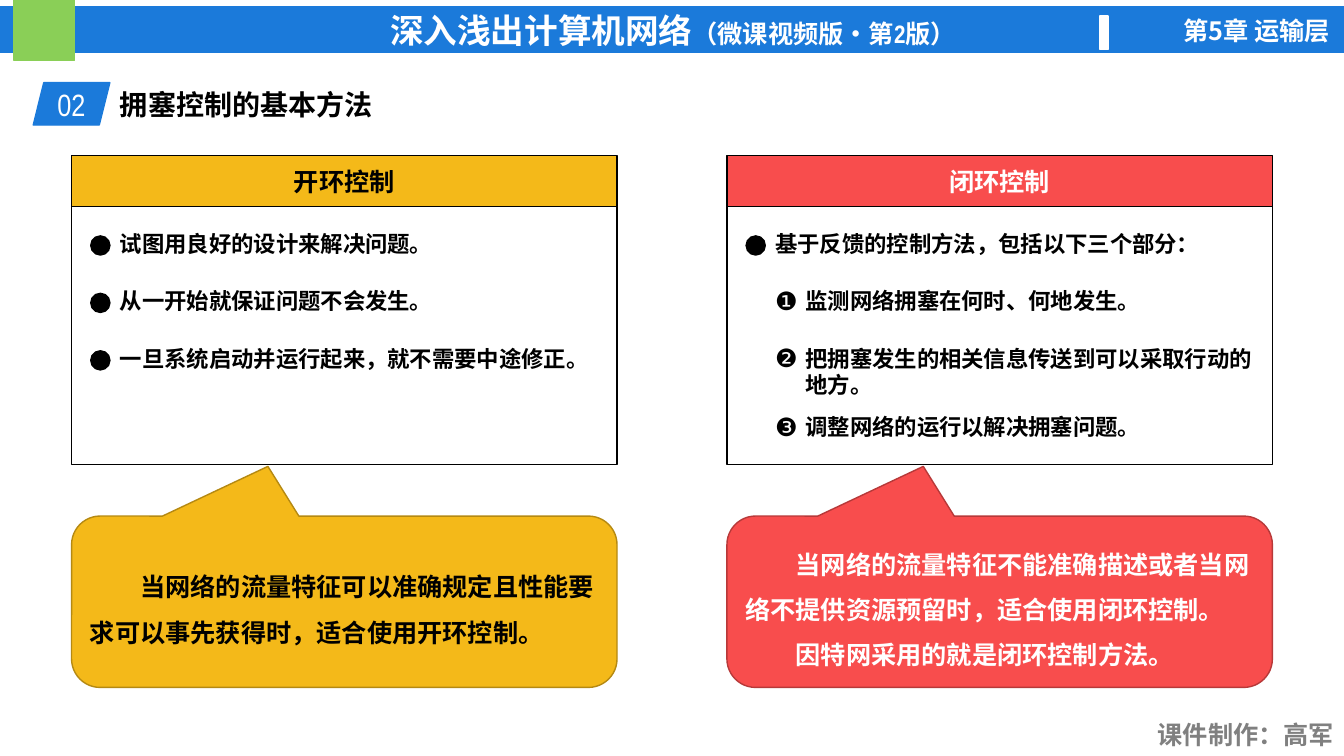
from lxml.etree import SubElement
from pptx import Presentation
from pptx.dml.color import RGBColor
from pptx.enum.shapes import MSO_SHAPE
from pptx.enum.text import MSO_ANCHOR, MSO_AUTO_SIZE, PP_ALIGN
from pptx.oxml.ns import qn
from pptx.util import Pt

PX = 9144
BLUE, GREEN, YELLOW, RED = "1B7ADA", "8ACF57", "F4B919", "F84D4D"
BLACK, WHITE, GRAY = "000000", "FFFFFF", "808080"


def color(hex_text):
    return RGBColor.from_string(hex_text)


class SlideBuilder:
    latin = "Arial Narrow"
    east_asian = "Noto Sans CJK SC"

    def __init__(self, slide):
        self.slide = slide

    def box(self, *lengths):
        return [n * PX for n in lengths]

    def style_run(self, r, size, ink, bold=True, latin=None):
        r.font.size = Pt(size)
        r.font.bold = bold
        r.font.color.rgb = color(ink)
        r.font.name = latin or self.latin
        SubElement(r._r.get_or_add_rPr(), qn("a:ea"), typeface=self.east_asian)

    def set_text(self, sp, text, size, ink, align=PP_ALIGN.LEFT, **style):
        tf = sp.text_frame
        tf.word_wrap = True
        tf.text = text
        for p in tf.paragraphs:
            p.alignment = align
            for r in p.runs:
                self.style_run(r, size, ink, **style)

    def shape(self, kind, at, fill=None, line=None):
        sp = self.slide.shapes.add_shape(kind, *self.box(*at))
        sp.shadow.inherit = False
        if fill:
            sp.fill.solid()
            sp.fill.fore_color.rgb = color(fill)
        else:
            sp.fill.background()
        sp.line.color.rgb = color(line or fill)
        sp.line.width = Pt(1)
        sp.text_frame.vertical_anchor = MSO_ANCHOR.MIDDLE
        return sp

    def label(self, kind, at, text, size, ink, fill, line=None, **style):
        sp = self.shape(kind, at, fill, line)
        self.set_text(sp, text, size, ink, PP_ALIGN.CENTER, **style)
        return sp

    def text(self, at, text, size, ink=BLACK, **style):
        sp = self.slide.shapes.add_textbox(*self.box(*at))
        self.set_text(sp, text, size, ink, **style)

    def title(self, at, text, size):
        sp = self.slide.shapes.title
        sp.left, sp.top, sp.width, sp.height = self.box(*at)
        self.set_text(sp, text, size, BLACK)
        sp.text_frame.auto_size = MSO_AUTO_SIZE.NONE
        sp.text_frame.vertical_anchor = MSO_ANCHOR.TOP

    def dot_item(self, x, y, width, text):
        self.shape(MSO_SHAPE.OVAL, (x + 19, y + 11, 19, 19), BLACK)
        self.text((x + 38, y, width, 37), text, 16)

    def numbered_item(self, x, y, number, height, text):
        self.text((x + 68, y, 473, height), text, 16)
        self.text((x + 38, y - 2, 42, 40), number, 18, bold=False)

    def panel(self, x, heading, fill, ink):
        self.label(MSO_SHAPE.RECTANGLE, (x, 154, 541, 51), heading, 18, ink, fill, BLACK)
        self.shape(MSO_SHAPE.RECTANGLE, (x, 205, 541, 256), line=BLACK)

    def callout(self, x, text, fill, line, ink, tip):
        sp = self.shape(MSO_SHAPE.ROUNDED_RECTANGULAR_CALLOUT, (x, 512, 541, 170), fill, line)
        sp.adjustments[0], sp.adjustments[1] = tip
        self.set_text(sp, text, 18, ink)
        for p in sp.text_frame.paragraphs:
            p.line_spacing = 1.5
            pPr = p._p.get_or_add_pPr()
            pPr.set("marL", "0")
            pPr.set("indent", str(50 * PX))

    def header(self):
        bar = self.label(MSO_SHAPE.RECTANGLE, (0, 7, 1335, 45), "深入浅出计算机网络", 24, WHITE, BLUE)
        r = bar.text_frame.paragraphs[0].add_run()
        r.text = "（微课视频版•第2版）"
        self.style_run(r, 18, WHITE)
        self.shape(MSO_SHAPE.RECTANGLE, (14, 0, 60, 60), GREEN)
        self.shape(MSO_SHAPE.RECTANGLE, (1091, 16, 8, 33), WHITE)
        self.text((1111, 10, 218, 40), "第5章 运输层", 18, WHITE,
                  align=PP_ALIGN.RIGHT, latin=self.east_asian)
        self.text((1134, 709, 199, 40), "课件制作：高军", 18, GRAY, align=PP_ALIGN.RIGHT)


def main():
    prs = Presentation()
    prs.slide_width, prs.slide_height = 1333 * PX, 750 * PX
    s = SlideBuilder(prs.slides.add_slide(prs.slide_layouts[5]))

    s.header()
    s.label(MSO_SHAPE.PARALLELOGRAM, (33, 82, 76, 42), "02", 22, WHITE, BLUE, bold=False)
    s.title((109, 82, 601, 44), "拥塞控制的基本方法", 20)

    left, right, top, step = 71, 721, 223, 57
    s.panel(left, "开环控制", YELLOW, BLACK)
    s.panel(right, "闭环控制", RED, WHITE)

    open_loop = [
        "试图用良好的设计来解决问题。",
        "从一开始就保证问题不会发生。",
        "一旦系统启动并运行起来，就不需要中途修正。",
    ]
    for i, text in enumerate(open_loop):
        s.dot_item(left, top + i * step, 503, text)

    s.dot_item(right, top, 445, "基于反馈的控制方法，包括以下三个部分：")
    closed_loop = [
        (280, "❶", 37, "监测网络拥塞在何时、何地发生。"),
        (337, "❷", 64, "把拥塞发生的相关信息传送到可以采取行动的地方。"),
        (405, "❸", 37, "调整网络的运行以解决拥塞问题。"),
    ]
    for y, number, height, text in closed_loop:
        s.numbered_item(right, y, number, height, text)

    s.callout(left, "当网络的流量特征可以准确规定且性能要求可以事先获得时，适合使用开环控制。",
              YELLOW, "B58912", BLACK, (-0.14, -0.79))
    s.callout(right, "当网络的流量特征不能准确描述或者当网络不提供资源预留时，适合使用闭环控制。\n"
              "因特网采用的就是闭环控制方法。",
              RED, "B73939", WHITE, (-0.14, -0.79))

    prs.save("out.pptx")


if __name__ == "__main__":
    main()
